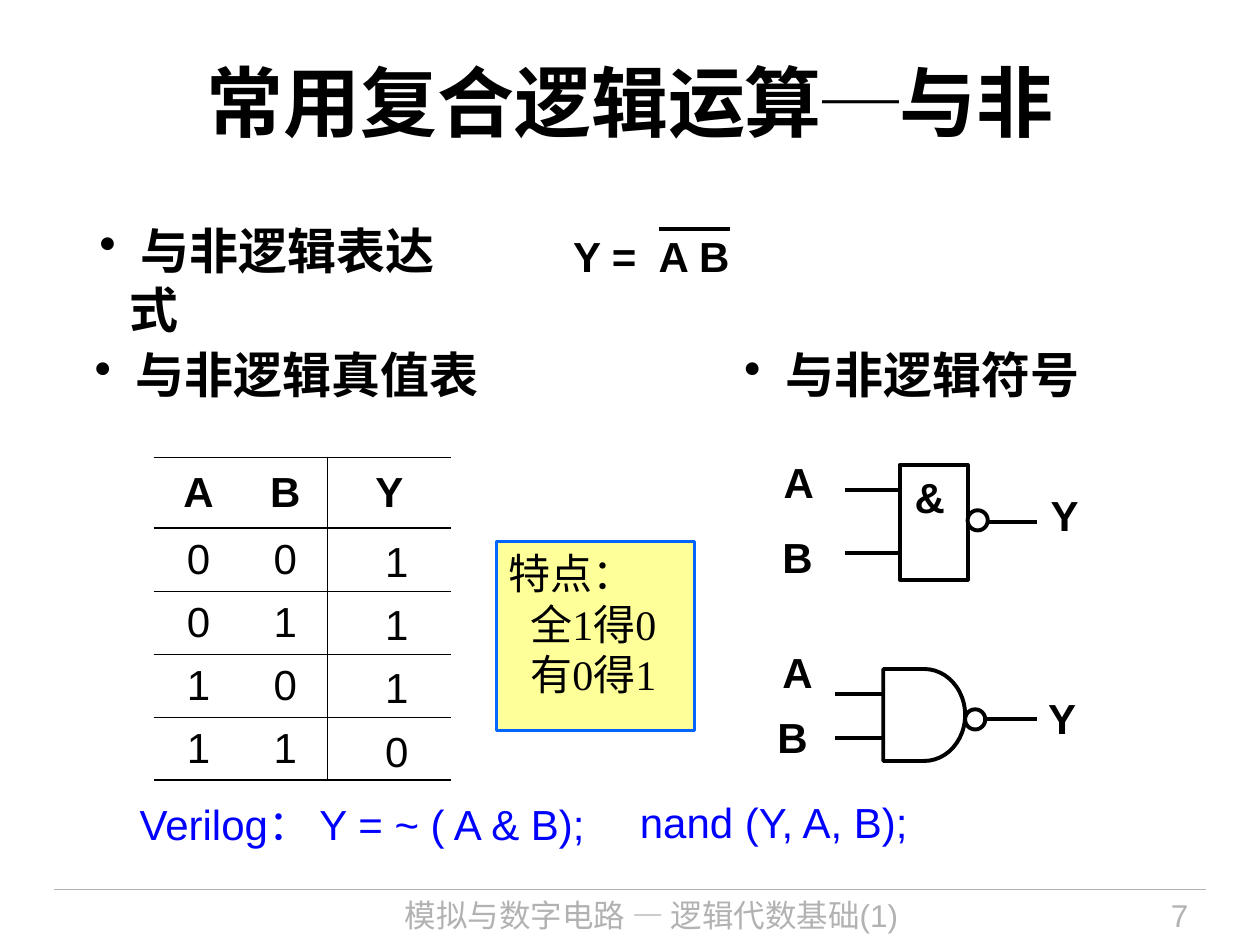
import pptx
import pptx.dml.color
import pptx.enum.shapes
import pptx.enum.text
import pptx.oxml
import pptx.oxml.ns
import pptx.util
from lxml import etree

Inches, Pt = pptx.util.Inches, pptx.util.Pt
qn = pptx.oxml.ns.qn
SHAPES = pptx.enum.shapes.MSO_SHAPE
ALIGN = pptx.enum.text.PP_ALIGN
MIDDLE = pptx.enum.text.MSO_ANCHOR.MIDDLE
COLORS = {"black": "000000", "white": "FFFFFF", "grey": "B2B2B2",
          "blue": "0000FF", "note_fill": "FFFF99", "note_line": "0066FF"}
SANS, SERIF = "Arial", "Times New Roman"
HANG = 0.24
THICK, THIN = 1.08, 0.45

# Content
TITLE = [("常用复合逻辑运算", SANS), ("─", SERIF), ("与非", SANS)]
HEADINGS = [  # text, box, inset, alignment, line spacing
    (" 与非逻辑表达式", (0.69, 1.7, 3.14, 0.57), (0.1, 0.05), ALIGN.LEFT, None),
    (" 与非逻辑真值表", (0.75, 2.79, 3.45, 0.42), (0, 0), ALIGN.LEFT, 0.9),
    (" 与非逻辑符号", (5.79, 2.79, 2.89, 0.42), (0, 0), ALIGN.CENTER, 0.9),
]
FOOTER = [("模拟与数字电路 — 逻辑代数基础(1)", (2.49, 7.06, 5.36, 0.44), ALIGN.CENTER),
          ("7", (8.2, 7.06, 1.33, 0.44), ALIGN.RIGHT)]
VERILOG = [("Verilog： Y = ~ ( A & B);", (1.01, 6.29, 3.95, 0.5)),
           ("nand (Y, A, B);", (4.98, 6.27, 2.38, 0.5))]
INPUT_TABLE = [("A", "B", "Y"), ("0", "0", ""), ("0", "1", ""), ("1", "0", ""), ("1", "1", "")]
OUTPUT_TABLE = [("1",), ("1",), ("1",), ("0",)]
NOTE = [("特点：", 0), ("全1得0", 0.17), ("有0得1", 0.17)]
GATES = [
    {"kind": SHAPES.RECTANGLE, "body": (7.14, 3.69, 0.54, 0.91), "wire_left": 6.71,
     "wires": (3.89, 4.39), "bubble": (7.68, 4.05), "output": (7.77, 4.14),
     "labels": [("A", 6.22, 3.67), ("B", 6.21, 4.26), ("Y", 8.33, 3.93), ("&", 7.26, 3.79)]},
    {"kind": SHAPES.FLOWCHART_DELAY, "body": (7.01, 5.31, 0.65, 0.73), "wire_left": 6.63,
     "wires": (5.51, 5.86), "bubble": (7.66, 5.63), "output": (7.78, 5.71),
     "labels": [("A", 6.21, 5.18), ("B", 6.17, 5.69), ("Y", 8.31, 5.54)]},
]
WIRE_RIGHT, BUBBLE = 8.23, 0.16

presentation = pptx.Presentation()
presentation.slide_width, presentation.slide_height = Inches(10), Inches(7.5)
slide = presentation.slides.add_slide(presentation.slide_layouts[6])


def rgb(color):
    return pptx.dml.color.RGBColor.from_string(COLORS[color])


def add_run(paragraph, text, size, color="black", bold=False, font=SANS):
    run = paragraph.add_run()
    run.text = text
    run.font.size, run.font.bold, run.font.name = Pt(size), bold, font
    run.font.color.rgb = rgb(color)


def set_frame(frame, inset, wrap):
    frame.margin_left = frame.margin_right = Inches(inset[0])
    frame.margin_top = frame.margin_bottom = Inches(inset[1])
    frame.word_wrap = wrap


def set_indent(paragraph, left, first=0.0):
    properties = paragraph._p.get_or_add_pPr()
    properties.set("marL", str(Inches(left)))
    properties.set("indent", str(Inches(first)))
    return properties


def add_box(box, align=ALIGN.LEFT, inset=(0.1, 0.05), wrap=True, spacing=None):
    frame = slide.shapes.add_textbox(*map(Inches, box)).text_frame
    set_frame(frame, inset, wrap)
    paragraph = frame.paragraphs[0]
    paragraph.alignment = align
    if spacing:
        paragraph.line_spacing = spacing
    return frame, paragraph


def add_line(left, top, right, bottom, color="black", width=2.25):
    line = slide.shapes.add_connector(pptx.enum.shapes.MSO_CONNECTOR.STRAIGHT,
                                      *map(Inches, (left, top, right, bottom)))
    line.line.color.rgb, line.line.width = rgb(color), Pt(width)
    etree.SubElement(line._element.spPr, qn("a:effectLst"))


def add_outline(kind, box, fill=None, color="black", width=2.25):
    shape = slide.shapes.add_shape(kind, *map(Inches, box))
    shape.shadow.inherit = False
    if fill:
        shape.fill.solid()
        shape.fill.fore_color.rgb = rgb(fill)
    else:
        shape.fill.background()
    shape.line.color.rgb, shape.line.width = rgb(color), Pt(width)
    return shape


def set_borders(cell, widths):
    properties = cell._tc.get_or_add_tcPr()
    for index, side in enumerate(("L", "R", "T", "B")):
        width = widths.get(side, 0)
        border = etree.Element(qn("a:ln" + side), w=str(Pt(width)))
        if width:
            fill = etree.SubElement(border, qn("a:solidFill"))
            etree.SubElement(fill, qn("a:srgbClr"), val=COLORS["black"])
        else:
            etree.SubElement(border, qn("a:noFill"))
        properties.insert(index, border)


def add_table(rows, left, top, widths, heights, borders, header=False):
    table = slide.shapes.add_table(len(rows), len(widths), *map(
        Inches, (left, top, sum(widths), sum(heights)))).table
    table.first_row = table.horz_banding = False
    for column, width in zip(table.columns, widths):
        column.width = Inches(width)
    for row_index, (row, height) in enumerate(zip(rows, heights)):
        table.rows[row_index].height = Inches(height)
        for column_index, text in enumerate(row):
            cell = table.cell(row_index, column_index)
            cell.vertical_anchor = MIDDLE
            cell.fill.background()
            set_borders(cell, borders(row_index, column_index))
            if text:
                paragraph = cell.text_frame.paragraphs[0]
                paragraph.alignment, paragraph.space_after = ALIGN.CENTER, Pt(6)
                add_run(paragraph, text, 24, bold=header and row_index == 0)


def truth_borders(row, column):
    last = len(INPUT_TABLE) - 1
    widths = {"T": THICK if row < 2 else THIN, "B": THICK if row in (0, last) else THIN}
    if column > 0:
        widths["R" if column == 1 else "L"] = THICK
    return widths


# Footer
add_line(0.43, 7.06, 9.57, 7.06, "grey", 0.75)
for text, box, align in FOOTER:
    add_run(add_box(box, align)[1], text, 18, "grey")

# Title and headings
frame, paragraph = add_box((0.5, 0.17, 9, 1.25), ALIGN.CENTER)
frame.vertical_anchor = MIDDLE
for text, font in TITLE:
    add_run(paragraph, text, 44, bold=True, font=font)
for text, box, inset, align, spacing in HEADINGS:
    paragraph = add_box(box, align, inset, spacing=spacing)[1]
    properties = set_indent(paragraph, HANG, -HANG)
    etree.SubElement(properties, qn("a:buChar"), char="•")
    add_run(paragraph, text, 28, bold=True)

# Expression, with a bar over A B
paragraph = add_box((4.45, 1.78, 2.6, 0.5))[1]
tabs = etree.SubElement(paragraph._p.get_or_add_pPr(), qn("a:tabLst"))
etree.SubElement(tabs, qn("a:tab"), pos=str(Inches(0.68)), algn="l")
add_run(paragraph, "Y =\tA B", 24, bold=True)
add_line(5.23, 1.82, 5.79, 1.82)

# Gate symbols
for gate in GATES:
    for text, left, top in gate["labels"]:
        paragraph = add_box((left, top, 0.24, 0.36), ALIGN.CENTER, (0, 0), False, 0.9)[1]
        add_run(paragraph, text, 24, bold=True)
    for height in gate["wires"]:
        add_line(gate["wire_left"], height, gate["body"][0], height)
    add_outline(gate["kind"], gate["body"])
    output_left, output_top = gate["output"]
    add_line(output_left, output_top, WIRE_RIGHT, output_top)
    add_outline(SHAPES.OVAL, (*gate["bubble"], BUBBLE, BUBBLE), "white")

# Truth table
add_table(INPUT_TABLE, 1.22, 3.63, (0.71, 0.67, 0.98), [0.56] + [0.41] * 4,
          truth_borders, header=True)

# Note
note = add_outline(SHAPES.RECTANGLE, (3.94, 4.3, 1.57, 1.5), "note_fill", "note_line", 1.5)
note.text_frame.vertical_anchor = pptx.enum.text.MSO_ANCHOR.TOP
set_frame(note.text_frame, (0.1, 0.05), False)
for index, (text, indent) in enumerate(NOTE):
    paragraph = note.text_frame.add_paragraph() if index else note.text_frame.paragraphs[0]
    paragraph.alignment = ALIGN.LEFT
    set_indent(paragraph, indent)
    add_run(paragraph, text, 24, font=SERIF)

# Output column and Verilog lines
add_table(OUTPUT_TABLE, 2.68, 4.22, (0.94,), [0.4] * 4, lambda row, column: {})
for text, box in VERILOG:
    add_run(add_box(box, wrap=False)[1], text, 24, "blue")

presentation.save("out.pptx")
